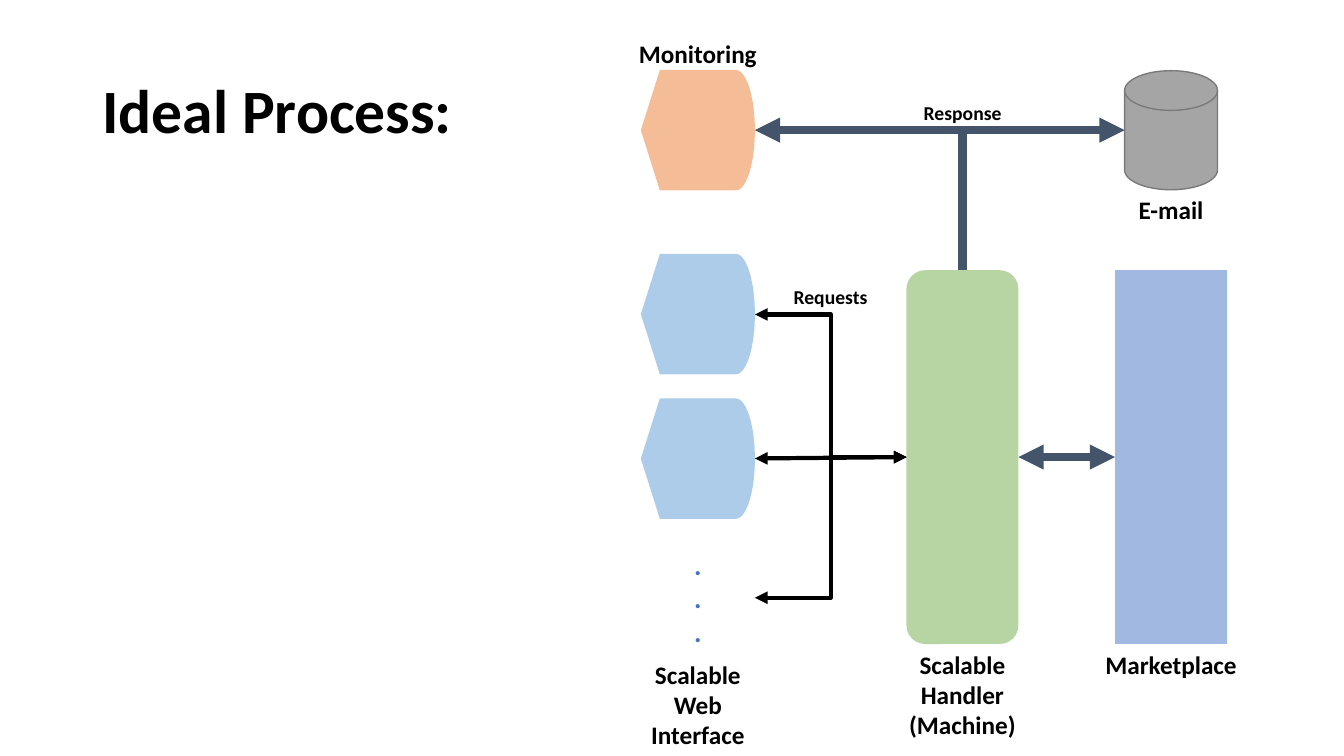
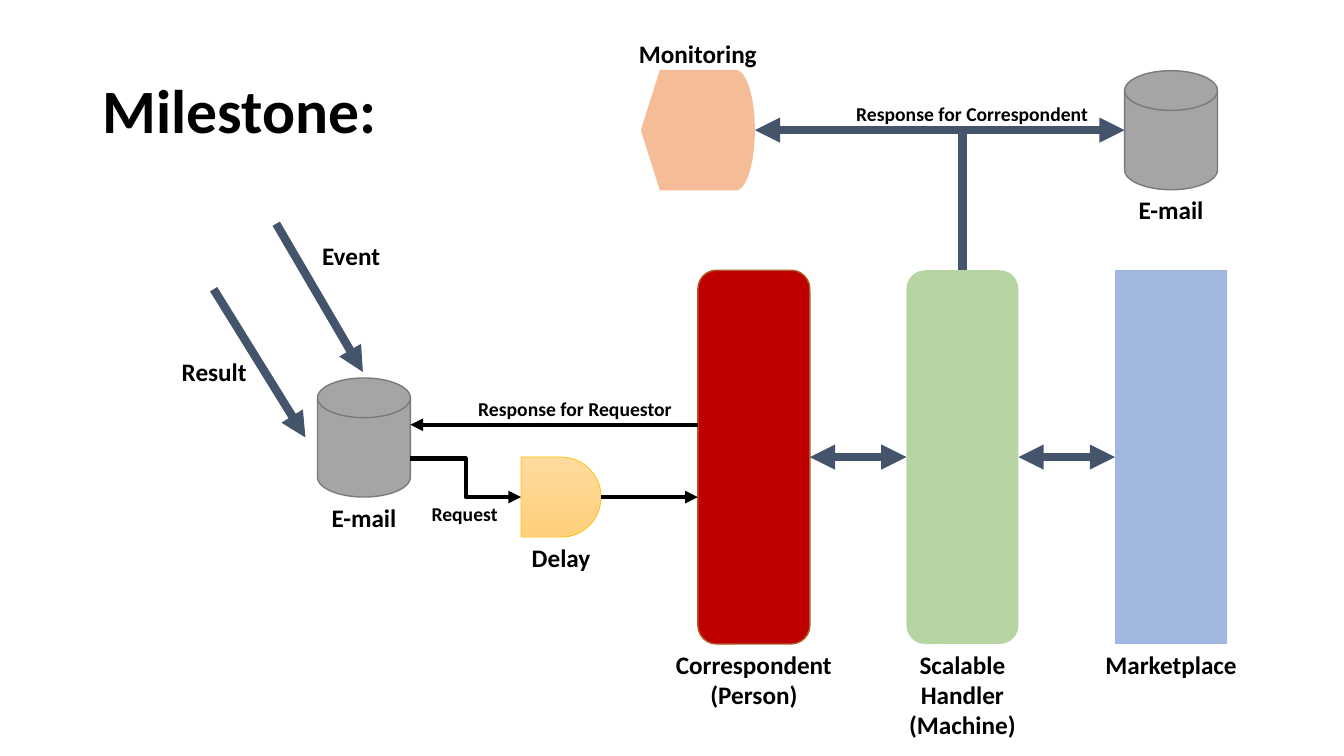
from dataclasses import dataclass
from lxml.etree import SubElement
from pptx import Presentation
from pptx.dml.color import RGBColor
from pptx.enum.shapes import MSO_CONNECTOR, MSO_SHAPE
from pptx.enum.text import MSO_ANCHOR, MSO_AUTO_SIZE, PP_ALIGN
from pptx.oxml.ns import qn
from pptx.util import Pt


@dataclass(frozen=True)
class Theme:
    font: str = "Calibri"
    title: int = 44
    dots: int = 20
    caption: int = 18
    label: int = 14
    ink: str = "000000"
    slate: str = "44546A"
    green: str = "70AD47"
    blue: str = "4472C4"
    sky: str = "5B9BD5"
    orange: str = "ED7D31"
    red: str = "C00000"
    red_edge: str = "AF5C24"
    grey: str = "A5A5A5"
    grey_edge: str = "7A7A7A"
    gold_edge: str = "FFC000"
    gold: tuple = ("FFDB9E", "FFD07C")
    thick: int = 6
    thin: int = 3


T = Theme()

# Content: captions are (text, centre x, top, width, height)
TITLES = ("Ideal Process:", "Milestone:")
COL_X = [538.5 + 149 * i for i in range(3)]
PERSON_X, HANDLER_X, MARKET_X = COL_X
COL_W, COL_TOP, COL_H = 80, 193, 267
MID_Y = COL_TOP + COL_H / 2
SCREEN_X, SCREEN_W, SCREEN_H = 498.5, 81.5, 86
SCREEN_RIGHT = SCREEN_X + SCREEN_W / 2
MONITOR_TOP, RESPONSE_Y = 50, 93
DISK_W, DISK_H = 66.4, 85
MAIL_X, MAIL_TOP = 260, 270
DELAY_X, DELAY_SIZE = 400.8, 57.2

SHARED_CAPTIONS = [
    ("Scalable Handler\n(Machine)", HANDLER_X, 460, 93.6, 73),
    ("Marketplace", MARKET_X, 460, 115.2, 29),
    ("E-mail", MARKET_X, 135.4, 66.4, 29),
    ("Monitoring", SCREEN_X, 23.8, 108, 29),
]
IDEAL_CAPTIONS = [("Scalable Web Interface", SCREEN_X, 467.3, 108, 73)]
MILESTONE_CAPTIONS = [
    ("Correspondent\n(Person)", PERSON_X, 460, 131, 51),
    ("Delay", DELAY_X, 383.8, 58, 29),
    ("E-mail", MAIL_X, 355, 66.4, 29),
    ("Event", 250.8, 167.8, 57, 29),
    ("Result", 153, 251.3, 61.2, 29),
]
# Labels: (text, centre x, top, width)
IDEAL_LABELS = [("Requests", 593.3, 200.2, 67.7), ("Response", 687.6, 68.4, 70.6)]
MILESTONE_LABELS = [
    ("Response for Correspondent", 694.4, 69, 180.7),
    ("Request", 331.9, 355, 61.9),
    ("Response for Requestor", 410.8, 280, 153.4),
]
SCREEN_TOPS = (181.4, 284.6)
REQUEST_YS = (224.6, 427)
EVENT_ARROWS = [((197.3, 159.8), (259.2, 265.7)), ((152.6, 206.6), (218.2, 312.5))]


# Drawing helpers
def rgb(code):
    return RGBColor.from_string(code)


def style_runs(tf, size, color=T.ink, align=PP_ALIGN.CENTER):
    for p in tf.paragraphs:
        p.alignment = align
        for r in p.runs:
            r.font.name, r.font.size, r.font.bold = T.font, Pt(size), True
            r.font.color.rgb = rgb(color)


def text(s, words, cx, top, w, h, size=T.caption, color=T.ink, wrap=True):
    tf = s.shapes.add_textbox(Pt(cx - w / 2), Pt(top), Pt(w), Pt(h)).text_frame
    tf.text, tf.word_wrap = words, wrap
    style_runs(tf, size, color)


def shape(s, kind, cx, top, w, h, fill, edge=None, edge_w=1, alpha=None):
    sp = s.shapes.add_shape(kind, Pt(cx - w / 2), Pt(top), Pt(w), Pt(h))
    sp.shadow.inherit = False
    if isinstance(fill, tuple):
        sp.fill.gradient()
        sp.fill.gradient_angle = 270
        for stop, color in zip(sp.fill.gradient_stops, fill):
            stop.color.rgb = rgb(color)
    else:
        sp.fill.solid()
        sp.fill.fore_color.rgb = rgb(fill)
    if alpha:
        clr = sp.fill._xPr.find(qn("a:solidFill"))[0]
        SubElement(clr, qn("a:alpha")).set("val", str(alpha * 1000))
    if edge:
        sp.line.color.rgb, sp.line.width = rgb(edge), Pt(edge_w)
    else:
        sp.line.fill.background()


def column(s, kind, cx, fill, edge=None, alpha=50):
    shape(s, kind, cx, COL_TOP, COL_W, COL_H, fill, edge, alpha=alpha)


def screen(s, top, fill):
    shape(s, MSO_SHAPE.FLOWCHART_DISPLAY, SCREEN_X, top, SCREEN_W, SCREEN_H, fill, alpha=50)


def disk(s, cx, top):
    shape(s, MSO_SHAPE.FLOWCHART_MAGNETIC_DISK, cx, top, DISK_W, DISK_H, T.grey, T.grey_edge)


def arrow(s, start, end, color=T.ink, width=T.thin, both=False, kind=MSO_CONNECTOR.STRAIGHT):
    c = s.shapes.add_connector(kind, *map(Pt, start + end))
    c.line.color.rgb, c.line.width = rgb(color), Pt(width)
    ln = c.line._get_or_add_ln()
    for tag in ("a:headEnd", "a:tailEnd") if both else ("a:tailEnd",):
        SubElement(ln, qn(tag)).set("type", "triangle")
    SubElement(c._element.spPr, qn("a:effectLst"))
    return c


def up_and_across(s, start, end):
    """One-bend arrow that leaves upwards and then runs sideways."""
    (x1, y1), (x2, y2) = start, end
    w, h = abs(y2 - y1), abs(x2 - x1)
    left, top = (x1 + x2 - w) / 2, (y1 + y2 - h) / 2
    c = arrow(s, (left, top), (left + w, top + h), T.slate, T.thick, kind=MSO_CONNECTOR.ELBOW)
    rightwards = x2 > x1
    spPr = c._element.spPr
    spPr.find(qn("a:prstGeom")).set("prst", "bentConnector2")
    xfrm = spPr.find(qn("a:xfrm"))
    xfrm.set("rot", str((90 if rightwards else 270) * 60000))
    xfrm.set("flipV", "1")
    if rightwards:
        xfrm.set("flipH", "1")


def column_link(s, left_x, right_x):
    arrow(s, (left_x + COL_W / 2, MID_Y), (right_x - COL_W / 2, MID_Y), T.slate, T.thick, both=True)


def new_slide(prs, title, captions, labels):
    s = prs.slides.add_slide(prs.slide_layouts[5])
    sp = s.shapes.title
    sp.left, sp.top, sp.width, sp.height = map(Pt, (66, 28.8, 378.7, 104.4))
    tf = sp.text_frame
    tf.text, tf.word_wrap = title, True
    tf.auto_size, tf.vertical_anchor = MSO_AUTO_SIZE.NONE, MSO_ANCHOR.MIDDLE
    tf.paragraphs[0].line_spacing = 0.9
    style_runs(tf, T.title, align=PP_ALIGN.LEFT)

    # Handler, marketplace, monitoring and e-mail stand on every slide
    column(s, MSO_SHAPE.FLOWCHART_ALTERNATE_PROCESS, HANDLER_X, T.green)
    column(s, MSO_SHAPE.RECTANGLE, MARKET_X, T.blue)
    column_link(s, HANDLER_X, MARKET_X)
    disk(s, MARKET_X, MONITOR_TOP + 0.5)
    for x in (MARKET_X - DISK_W / 2, SCREEN_RIGHT):
        up_and_across(s, (HANDLER_X, COL_TOP), (x, RESPONSE_Y))
    screen(s, MONITOR_TOP, T.orange)
    for caption in SHARED_CAPTIONS + captions:
        text(s, *caption)
    for label in labels:
        text(s, *label, 24.2, T.label, wrap=False)
    return s


prs = Presentation()
prs.slide_width, prs.slide_height = Pt(960), Pt(540)

# Ideal process: web interfaces share one request lane
s = new_slide(prs, TITLES[0], IDEAL_CAPTIONS, IDEAL_LABELS)
handler_side = (HANDLER_X - COL_W / 2, MID_Y)
for y in REQUEST_YS:
    arrow(s, (SCREEN_RIGHT, y), handler_side, both=True, kind=MSO_CONNECTOR.ELBOW)
arrow(s, handler_side, (SCREEN_RIGHT, MID_Y + 1), both=True)
for top in SCREEN_TOPS:
    screen(s, top, T.sky)
text(s, ".\n.\n.", SCREEN_X, 387.4, SCREEN_W, 80, T.dots, T.blue)

# Milestone: a person answers the mailbox
s = new_slide(prs, TITLES[1], MILESTONE_CAPTIONS, MILESTONE_LABELS)
column(s, MSO_SHAPE.FLOWCHART_ALTERNATE_PROCESS, PERSON_X, T.red, T.red_edge, alpha=None)
column_link(s, PERSON_X, HANDLER_X)
disk(s, MAIL_X, MAIL_TOP)
shape(s, MSO_SHAPE.FLOWCHART_DELAY, DELAY_X, MID_Y, DELAY_SIZE, DELAY_SIZE, T.gold, T.gold_edge, 0.5)
mail_right, person_left = MAIL_X + DISK_W / 2, PERSON_X - COL_W / 2
delay_y = MID_Y + DELAY_SIZE / 2
arrow(s, (mail_right, 327.6), (DELAY_X - DELAY_SIZE / 2, delay_y), kind=MSO_CONNECTOR.ELBOW)
arrow(s, (DELAY_X + DELAY_SIZE / 2, delay_y), (person_left, delay_y))
arrow(s, (person_left, 303.4), (mail_right, 303.4))
for start, end in EVENT_ARROWS:
    arrow(s, start, end, T.slate, T.thick)

prs.save("out.pptx")
